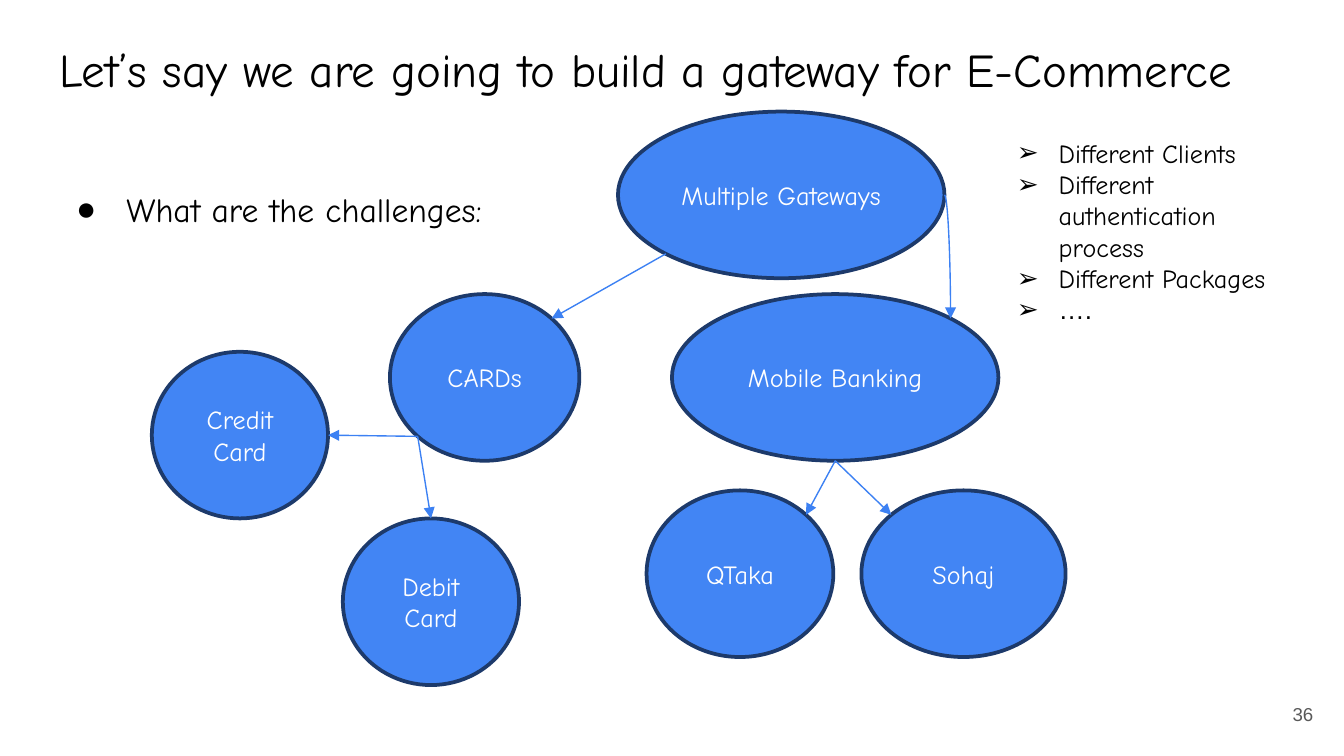
from dataclasses import dataclass
from math import cos, radians, sin

from lxml.etree import SubElement
from pptx import Presentation
from pptx.dml.color import RGBColor
from pptx.enum.shapes import MSO_CONNECTOR, MSO_SHAPE
from pptx.enum.text import MSO_ANCHOR, PP_ALIGN
from pptx.oxml.ns import qn
from pptx.slide import Slide
from pptx.text.text import TextFrame, _Paragraph
from pptx.util import Cm, Pt


@dataclass(frozen=True)
class Theme:
    font: str = "Comic Neue"
    plain_font: str = "Arial"
    ink: str = "000000"
    paper: str = "FFFFFF"
    node_fill: str = "4285F4"
    node_line: str = "1D3A6B"
    arrow: str = "3C81F3"
    number: str = "595959"
    title_size: float = 25.2
    lead_size: float = 18
    text_size: float = 14
    number_size: float = 10
    inset: float = 0.25


@dataclass(frozen=True)
class Node:
    label: str
    left: float
    top: float
    width: float
    height: float = 3.15

    def site(self, degrees: float) -> tuple[float, float]:
        angle = radians(degrees)
        return (
            self.left + self.width / 2 * (1 + cos(angle)),
            self.top + self.height / 2 * (1 + sin(angle)),
        )


@dataclass(frozen=True)
class Arrow:
    start: Node
    start_angle: float
    end: Node
    end_angle: float
    curved: bool = False


THEME = Theme()
RIGHT, BOTTOM_RIGHT, BOTTOM, BOTTOM_LEFT = 0, 45, 90, 135
TOP_LEFT, TOP, TOP_RIGHT = 225, 270, 315

GATEWAYS = Node("Multiple Gateways", 11.68, 2.11, 6.17)
CARDS = Node("CARDs", 7.37, 5.56, 3.58)
MOBILE = Node("Mobile Banking", 12.7, 5.56, 6.17)
CREDIT = Node("Credit Card", 2.87, 6.65, 3.33)
DEBIT = Node("Debit Card", 6.48, 9.8, 3.33)
WALLET_ONE = Node("QTaka", 12.22, 9.27, 3.53)
WALLET_TWO = Node("Sohaj", 16.28, 9.27, 3.86)
NODES = [GATEWAYS, CARDS, MOBILE, CREDIT, DEBIT, WALLET_ONE, WALLET_TWO]

ARROWS = [
    Arrow(GATEWAYS, BOTTOM_LEFT, CARDS, TOP_RIGHT),
    Arrow(GATEWAYS, RIGHT, MOBILE, TOP_RIGHT, curved=True),
    Arrow(CARDS, BOTTOM_LEFT, CREDIT, RIGHT),
    Arrow(CARDS, BOTTOM_LEFT, DEBIT, TOP),
    Arrow(MOBILE, BOTTOM, WALLET_ONE, TOP_RIGHT),
    Arrow(MOBILE, BOTTOM, WALLET_TWO, TOP_LEFT),
]

CHALLENGES = [
    ("Different Clients", THEME.font),
    ("Different authentication process", THEME.font),
    ("Different Packages", THEME.font),
    ("….", THEME.plain_font),
]


def write(para: _Paragraph, text: str, size: float, color: str,
          font: str = THEME.font, align: PP_ALIGN = PP_ALIGN.LEFT) -> None:
    para.text = text
    para.alignment = align
    para.font.name = font
    para.font.size = Pt(size)
    para.font.color.rgb = RGBColor.from_string(color)


def add_bullet(para: _Paragraph, symbol: str, indent: float, hang: float) -> None:
    properties = para._p.get_or_add_pPr()
    properties.set("marL", str(Cm(indent)))
    properties.set("indent", str(-Cm(hang)))
    color = SubElement(properties, qn("a:buClr"))
    SubElement(color, qn("a:srgbClr"), val=THEME.ink)
    SubElement(properties, qn("a:buFont"), typeface=THEME.plain_font)
    SubElement(properties, qn("a:buChar"), char=symbol)
    for defaults in properties.findall(qn("a:defRPr")):
        properties.append(defaults)


def set_frame(frame: TextFrame, vertical_inset: float, anchor: MSO_ANCHOR) -> None:
    frame.word_wrap = True
    frame.margin_left = frame.margin_right = Cm(THEME.inset)
    frame.margin_top = frame.margin_bottom = Cm(vertical_inset)
    frame.vertical_anchor = anchor


def add_text_box(page: Slide, left: float, top: float, width: float, height: float,
                 vertical_inset: float = THEME.inset,
                 anchor: MSO_ANCHOR = MSO_ANCHOR.TOP) -> TextFrame:
    box = page.shapes.add_textbox(Cm(left), Cm(top), Cm(width), Cm(height))
    set_frame(box.text_frame, vertical_inset, anchor)
    return box.text_frame


def add_title(page: Slide, text: str) -> None:
    title = page.shapes.title
    title.left, title.top = Cm(0.87), Cm(0.51)
    title.width, title.height = Cm(23.67), Cm(1.6)
    set_frame(title.text_frame, THEME.inset, MSO_ANCHOR.TOP)
    write(title.text_frame.paragraphs[0], text, THEME.title_size, THEME.ink)


def add_node(page: Slide, node: Node) -> None:
    oval = page.shapes.add_shape(
        MSO_SHAPE.OVAL, Cm(node.left), Cm(node.top), Cm(node.width), Cm(node.height)
    )
    oval.shadow.inherit = False
    oval.fill.solid()
    oval.fill.fore_color.rgb = RGBColor.from_string(THEME.node_fill)
    oval.line.color.rgb = RGBColor.from_string(THEME.node_line)
    oval.line.width = Pt(2)
    set_frame(oval.text_frame, 0.13, MSO_ANCHOR.MIDDLE)
    write(oval.text_frame.paragraphs[0], node.label, THEME.text_size, THEME.paper,
          align=PP_ALIGN.CENTER)


def add_arrow(page: Slide, arrow: Arrow) -> None:
    points = arrow.start.site(arrow.start_angle) + arrow.end.site(arrow.end_angle)
    kind = MSO_CONNECTOR.CURVE if arrow.curved else MSO_CONNECTOR.STRAIGHT
    connector = page.shapes.add_connector(kind, *[Cm(value) for value in points])
    connector.line.color.rgb = RGBColor.from_string(THEME.arrow)
    connector.line.width = Pt(0.75)
    properties = connector._element.spPr
    if arrow.curved:
        properties.find(qn("a:prstGeom")).set("prst", "curvedConnector2")
    SubElement(properties.find(qn("a:ln")), qn("a:tailEnd"), type="triangle")
    SubElement(properties, qn("a:effectLst"))


def main() -> None:
    deck = Presentation()
    deck.slide_width, deck.slide_height = Cm(25.4), Cm(14.29)
    page = deck.slides.add_slide(deck.slide_layouts[5])
    add_title(page, "Let’s say we are going to build a gateway for E-Commerce")

    lead = add_text_box(page, 0.87, 3.2, 23.67, 9.5).paragraphs[0]
    write(lead, "What are the challenges:", THEME.lead_size, THEME.ink)
    lead.line_spacing = 1.15
    add_bullet(lead, "●", 1.27, 0.95)

    number = add_text_box(page, 23.55, 12.95, 1.52, 1.09, anchor=MSO_ANCHOR.MIDDLE)
    write(number.paragraphs[0], "36", THEME.number_size, THEME.number,
          THEME.plain_font, PP_ALIGN.RIGHT)

    for node in NODES:
        add_node(page, node)
    for arrow in ARROWS:
        add_arrow(page, arrow)

    challenges = add_text_box(page, 18.97, 2.46, 5.21, 5.05, vertical_inset=0.13)
    for index, (text, font) in enumerate(CHALLENGES):
        para = challenges.add_paragraph() if index else challenges.paragraphs[0]
        write(para, text, THEME.text_size, THEME.ink, font)
        add_bullet(para, "➢", 0.79, 0.79)

    deck.save("out.pptx")


if __name__ == "__main__":
    main()
